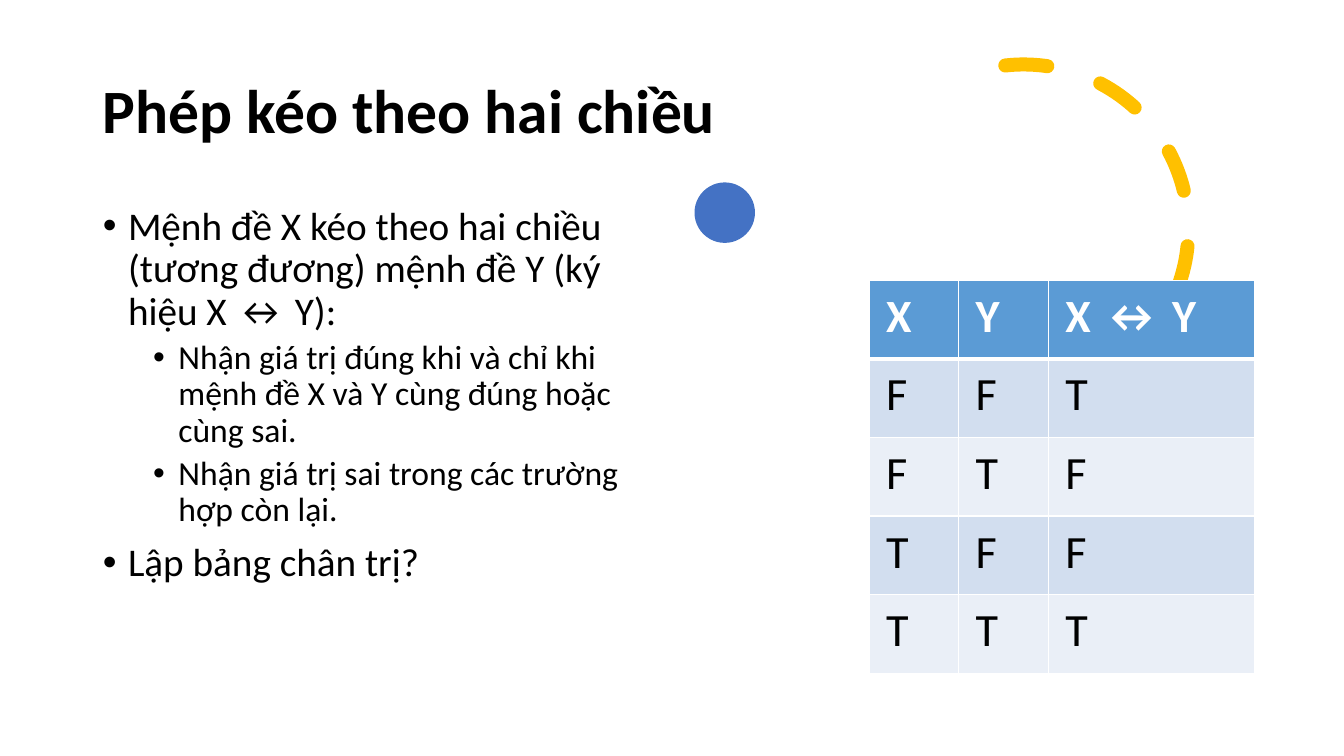
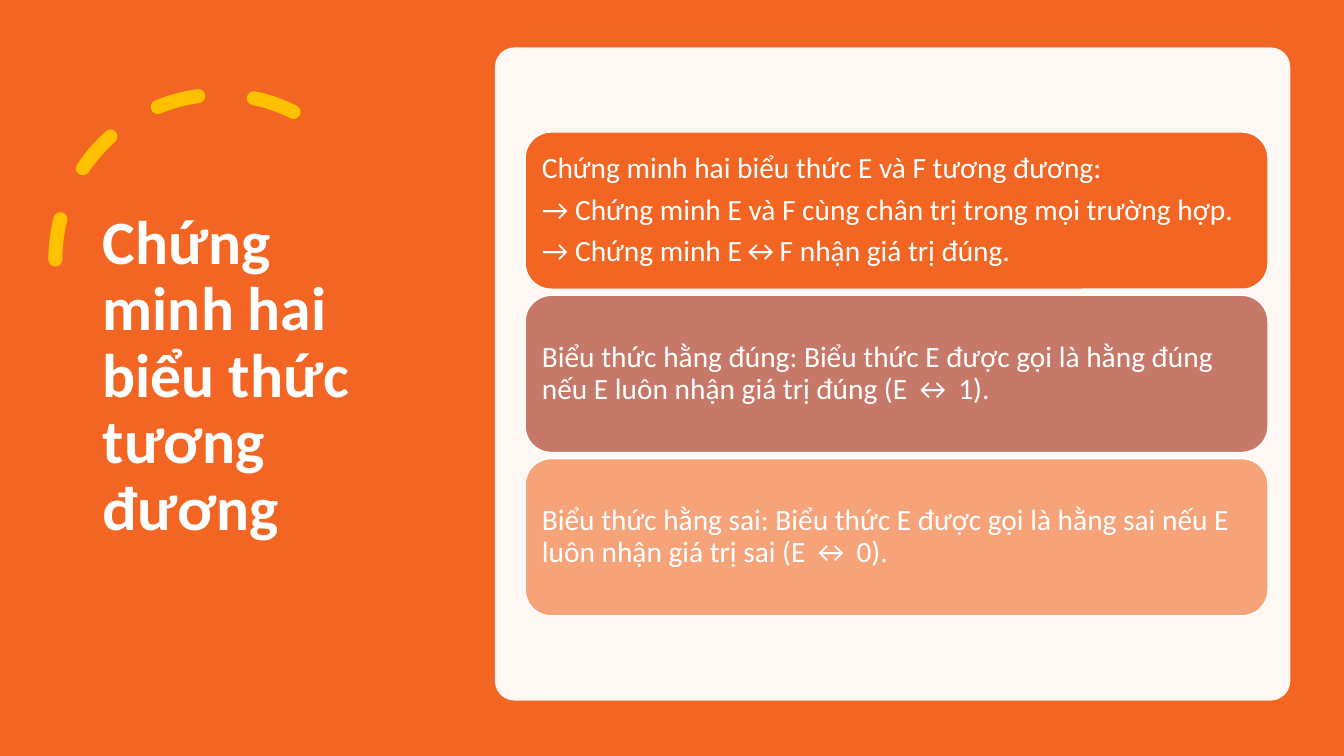
import pptx
import pptx.util
import pptx.dml.color
import pptx.enum.dml
import pptx.enum.shapes
import pptx.enum.text
import pptx.oxml
import pptx.oxml.ns
from lxml import etree

Inches, Pt = pptx.util.Inches, pptx.util.Pt
SHAPE = pptx.enum.shapes.MSO_SHAPE
ANCHOR = pptx.enum.text.MSO_ANCHOR
LEFT = pptx.enum.text.PP_ALIGN.LEFT
qn = pptx.oxml.ns.qn

FONT = "Calibri"
WHITE, BLACK = "FFFFFF", "000000"
ORANGE, YELLOW, BLUE = "F26522", "FFC000", "4472C4"
HEADER_FILL, BAND_FILLS = "5B9BD5", ("D2DEEF", "EAEFF7")
ARC_SIZE = 3.27

BICONDITIONAL_TITLE = "Phép kéo theo hai chiều"
BICONDITIONAL_POINTS = [
    (0, "Mệnh đề X kéo theo hai chiều (tương đương) mệnh đề Y (ký hiệu X ↔ Y):"),
    (1, "Nhận giá trị đúng khi và chỉ khi mệnh đề X và Y cùng đúng hoặc cùng sai."),
    (1, "Nhận giá trị sai trong các trường hợp còn lại."),
    (0, "Lập bảng chân trị?"),
]
LEVELS = [  # size, space before, left indent
    (28, 10, 0.25),
    (24, 5, 0.75),
]
TRUTH_TABLE = [
    ("X", "Y", "X ↔ Y"),
    ("F", "F", "T"),
    ("F", "T", "F"),
    ("T", "F", "F"),
    ("T", "T", "T"),
]
COLUMN_WIDTHS = (0.89, 0.89, 2.05)
ROW_HEIGHT = 0.78

EQUIVALENCE_TITLE = "Chứng minh hai biểu thức tương đương"
CARDS = [
    (ORANGE, ["Chứng minh hai biểu thức E và F tương đương:",
              "→ Chứng minh E và F cùng chân trị trong mọi trường hợp.",
              "→ Chứng minh E↔F nhận giá trị đúng."]),
    ("C67869", ["Biểu thức hằng đúng: Biểu thức E được gọi là hằng đúng "
                "nếu E luôn nhận giá trị đúng (E ↔ 1)."]),
    ("F7A37A", ["Biểu thức hằng sai: Biểu thức E được gọi là hằng sai "
                "nếu E luôn nhận giá trị sai (E ↔ 0)."]),
]
CARD_LEFT, CARD_TOP, CARD_WIDTH, CARD_HEIGHT, CARD_PITCH = 5.21, 1.31, 7.37, 1.56, 1.62


def color(hex_code):
    return pptx.dml.color.RGBColor.from_string(hex_code)


def set_fill(target, hex_code):
    target.fill.solid()
    target.fill.fore_color.rgb = color(hex_code)


def style_runs(paragraph, size, hex_code, bold=False):
    for run in paragraph.runs:
        run.font.name = FONT
        run.font.size = Pt(size)
        run.font.bold = bold
        run.font.color.rgb = color(hex_code)


def place(shape, left, top, width, height):
    shape.left, shape.top = Inches(left), Inches(top)
    shape.width, shape.height = Inches(width), Inches(height)


def add_shape(slide, kind, box, fill=None):
    shape = slide.shapes.add_shape(kind, *map(Inches, box))
    shape.shadow.inherit = False
    shape.line.fill.background()
    if fill:
        set_fill(shape, fill)
    else:
        shape.fill.background()
    return shape


def add_dashed_arc(slide, left, top, start, end, mirrored=False):
    """Draw the yellow arc clockwise between two angles in degrees."""
    arc = add_shape(slide, SHAPE.ARC, (left, top, ARC_SIZE, ARC_SIZE))
    for index, degrees in enumerate((start, end)):
        arc.adjustments[index] = degrees * 60000 / 100000
    arc.line.color.rgb = color(YELLOW)
    arc.line.width = Pt(10)
    arc.line.dash_style = pptx.enum.dml.MSO_LINE.DASH
    properties = arc.element.spPr
    properties.find(qn("a:ln")).set("cap", "rnd")
    if mirrored:
        properties.find(qn("a:xfrm")).set("flipH", "1")


def set_title(slide, text, box, hex_code):
    title = slide.shapes.title
    place(title, *box)
    frame = title.text_frame
    frame.text = text
    frame.word_wrap = True
    frame.auto_size = pptx.enum.text.MSO_AUTO_SIZE.NONE
    frame.vertical_anchor = ANCHOR.MIDDLE
    paragraph = frame.paragraphs[0]
    paragraph.alignment = LEFT
    paragraph.line_spacing = 0.9
    style_runs(paragraph, 44, hex_code, bold=True)
    slide.shapes.element.append(title.element)  # bring to front


def set_bullet(paragraph, indent):
    properties = paragraph._p.get_or_add_pPr()
    properties.set("marL", str(Inches(indent)))
    properties.set("indent", str(Inches(-0.25)))
    etree.SubElement(properties, qn("a:buFont")).set("typeface", "Arial")
    etree.SubElement(properties, qn("a:buChar")).set("char", "•")


def fill_paragraphs(frame, texts):
    frame.text = "\n".join(texts)
    for paragraph in frame.paragraphs:
        paragraph.alignment = LEFT
        paragraph.line_spacing = 0.9
    return frame.paragraphs


def set_points(body, points):
    frame = body.text_frame
    frame.auto_size = pptx.enum.text.MSO_AUTO_SIZE.NONE
    paragraphs = fill_paragraphs(frame, [text for _, text in points])
    for paragraph, (level, _) in zip(paragraphs, points):
        size, space_before, indent = LEVELS[level]
        paragraph.level = level
        paragraph.space_before = Pt(space_before)
        set_bullet(paragraph, indent)
        style_runs(paragraph, size, BLACK)


def set_borders(cell, widths):
    """Give the cell white borders; widths are points for left, right, top, bottom."""
    properties = cell._tc.get_or_add_tcPr()
    for index, (side, width) in enumerate(zip("LRTB", widths)):
        line = etree.Element(qn(f"a:ln{side}"), w=str(Pt(width)))
        fill = etree.SubElement(line, qn("a:solidFill"))
        etree.SubElement(fill, qn("a:srgbClr")).set("val", WHITE)
        properties.insert(index, line)


def add_truth_table(slide, left, top):
    frame = slide.shapes.add_table(
        len(TRUTH_TABLE), len(COLUMN_WIDTHS), Inches(left), Inches(top),
        Inches(sum(COLUMN_WIDTHS)), Inches(ROW_HEIGHT * len(TRUTH_TABLE)))
    table = frame.table
    for column, width in zip(table.columns, COLUMN_WIDTHS):
        column.width = Inches(width)
    for row_index, values in enumerate(TRUTH_TABLE):
        table.rows[row_index].height = Inches(ROW_HEIGHT)
        header = row_index == 0
        for column_index, value in enumerate(values):
            cell = table.cell(row_index, column_index)
            cell.text = value
            cell.margin_left = cell.margin_right = Inches(0.17)
            cell.margin_top = cell.margin_bottom = Inches(0.08)
            style_runs(cell.text_frame.paragraphs[0], 33, WHITE if header else BLACK, header)
            set_fill(cell, HEADER_FILL if header else BAND_FILLS[(row_index - 1) % 2])
            set_borders(cell, (1, 1, 3 if row_index == 1 else 1, 3 if header else 1))


def add_card(slide, top, fill, texts):
    card = add_shape(slide, SHAPE.ROUNDED_RECTANGLE,
                     (CARD_LEFT, top, CARD_WIDTH, CARD_HEIGHT), fill)
    card.line.color.rgb = color(WHITE)
    card.line.width = Pt(1)
    frame = card.text_frame
    frame.word_wrap = True
    frame.vertical_anchor = ANCHOR.MIDDLE
    frame.margin_left = frame.margin_right = Inches(0.09)
    frame.margin_top = frame.margin_bottom = Inches(0.09)
    for paragraph in fill_paragraphs(frame, texts):
        paragraph.space_after = Pt(7)
        style_runs(paragraph, 21, WHITE)


def build_biconditional_slide(presentation):
    slide = presentation.slides.add_slide(presentation.slide_layouts[1])
    add_dashed_arc(slide, 8.52, 0.64, 263.62, 29.69)
    set_title(slide, BICONDITIONAL_TITLE, (0.92, 0.4, 11.5, 1.45), BLACK)
    body = slide.placeholders[1]
    place(body, 0.92, 2, 5.89, 4.76)
    set_points(body, BICONDITIONAL_POINTS)
    add_shape(slide, SHAPE.OVAL, (6.89, 1.81, 0.6, 0.6), BLUE)
    add_truth_table(slide, 8.62, 2.78)


def build_equivalence_slide(presentation):
    slide = presentation.slides.add_slide(presentation.slide_layouts[5])
    add_shape(slide, SHAPE.RECTANGLE, (0, 0, 13.33, 7.5), ORANGE).width = presentation.slide_width
    add_dashed_arc(slide, 0.55, 0.94, 243.55, 0, mirrored=True)
    set_title(slide, EQUIVALENCE_TITLE, (0.92, 0.7, 3.23, 6.09), WHITE)
    panel = add_shape(slide, SHAPE.ROUNDED_RECTANGLE, (4.91, 0.47, 7.89, 6.48), WHITE)
    panel.adjustments[0] = 0.03
    panel_color = panel.element.spPr.find(qn("a:solidFill")).find(qn("a:srgbClr"))
    etree.SubElement(panel_color, qn("a:alpha")).set("val", "95000")
    for index, (fill, texts) in enumerate(CARDS):
        add_card(slide, CARD_TOP + index * CARD_PITCH, fill, texts)


def main():
    presentation = pptx.Presentation()
    presentation.slide_width = Inches(13.333)
    presentation.slide_height = Inches(7.5)
    build_biconditional_slide(presentation)
    build_equivalence_slide(presentation)
    presentation.save("out.pptx")


if __name__ == "__main__":
    main()
